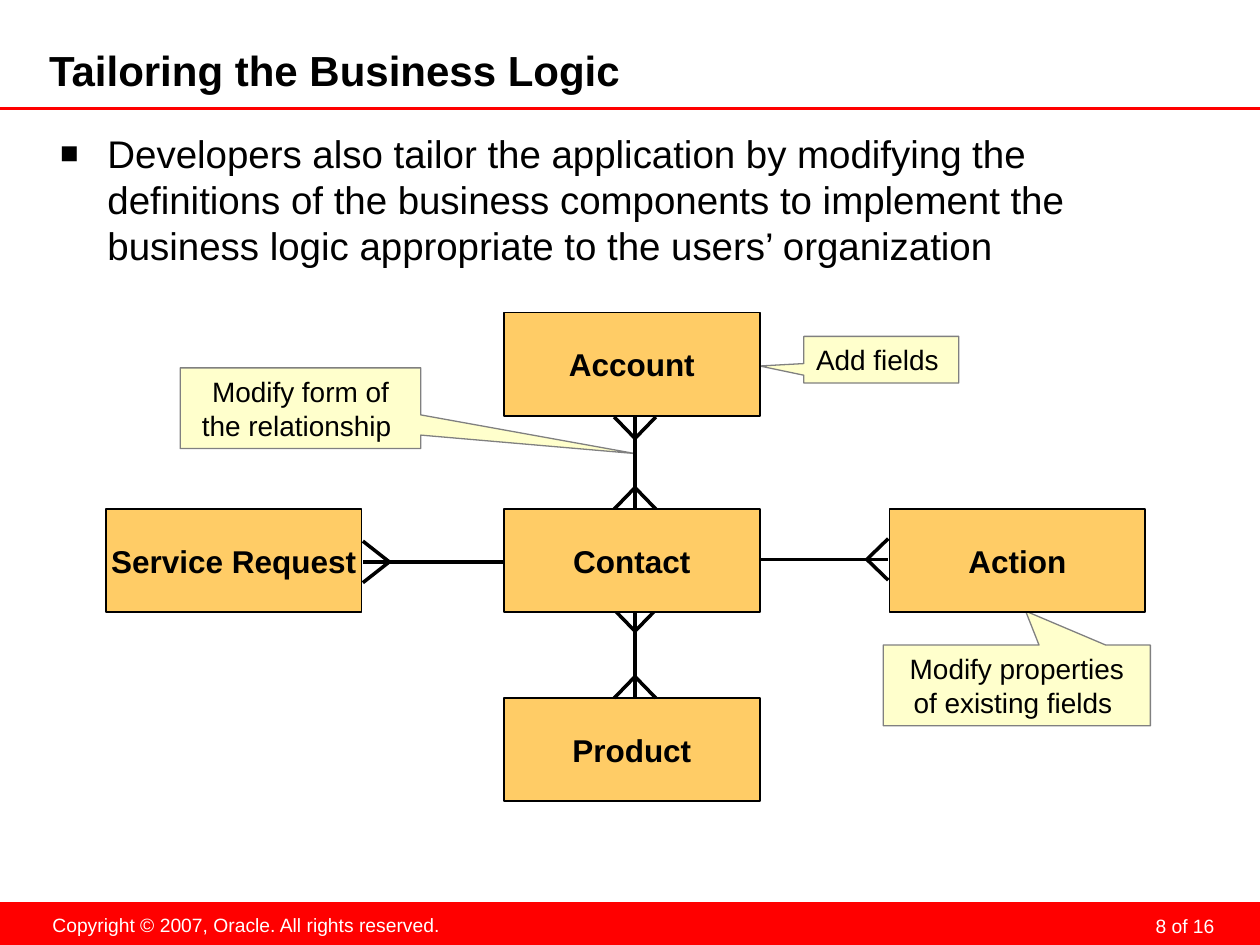
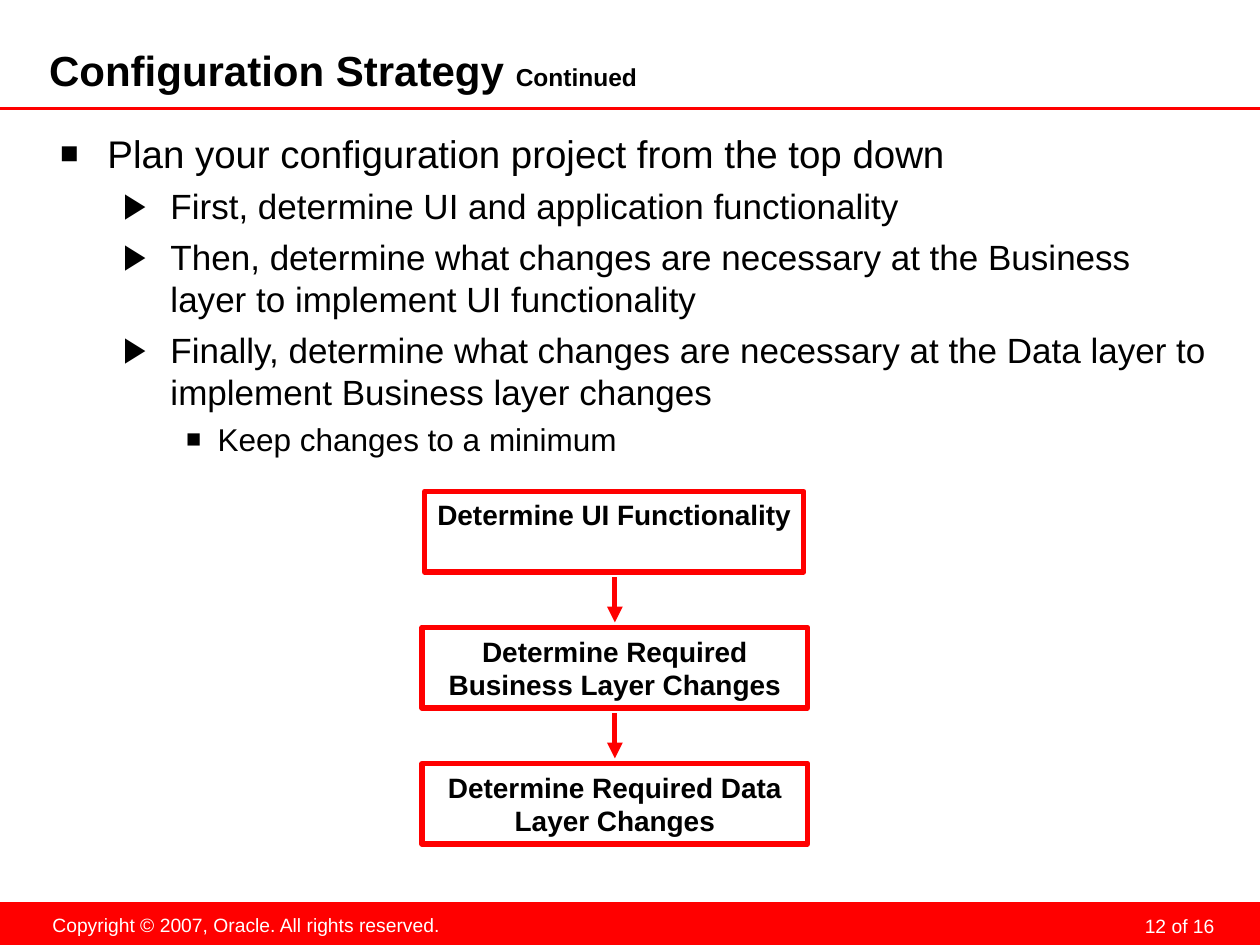
from dataclasses import dataclass
from typing import NamedTuple, Optional

from lxml.etree import SubElement
from pptx import Presentation
from pptx.dml.color import RGBColor
from pptx.enum.shapes import MSO_CONNECTOR as Connector, MSO_SHAPE as Preset
from pptx.enum.text import MSO_ANCHOR as Anchor, PP_ALIGN as Align
from pptx.oxml.ns import qn
from pptx.util import Inches, Pt

WIDTH, HEIGHT = Inches(10), Inches(7.5)
COLUMNS, ROWS = 100, 75
FONT = "Arial"
COLORS = {
    "brand": "FF0000",
    "text": "000000",
    "reverse": "FFFFFF",
    "entity": "FFCC66",
    "callout": "FFFFCC",
    "callout_edge": "808080",
}
COPYRIGHT = "Copyright © 2007, Oracle. All rights reserved."
PAGE_TOTAL = 16


class Point(NamedTuple):
    col: float
    row: float


class Area(NamedTuple):
    col: float
    row: float
    cols: float
    rows: float


class Run(NamedTuple):
    text: str
    size: float
    bold: bool = False
    color: str = "text"


class Outline(NamedTuple):
    color: str
    points: float


class Insets(NamedTuple):
    """Text margins in grid cells."""
    left: float = 1
    top: float = 0.5
    right: float = 1
    bottom: float = 0.5


class BulletLevel(NamedTuple):
    size: float
    indent: float
    hanging: float
    before: float
    mark: str
    mark_percent: int


@dataclass
class Entity:
    name: str
    col: float
    row: float


@dataclass
class Callout:
    text: str
    area: Area
    tip: Point
    wrap: bool = True


@dataclass
class Relationship:
    start: Point
    end: Point
    many_start: bool = False
    many_end: bool = True
    foot_depth: float = 1.7


@dataclass
class Step:
    text: str
    col: float
    cols: float
    wrap: bool = True
    anchor: Anchor = Anchor.MIDDLE


LEVELS = [
    BulletLevel(22, 3.75, 3.75, 5.5, "■", 80),
    BulletLevel(20, 8.75, 3.75, 5, "▶", 100),
    BulletLevel(18, 12.5, 2.5, 4.5, "■", 80),
]
FOOT_HALF_SPREAD = 1.65
ENTITY_COLS, ENTITY_ROWS = 20.3, 8.2
STEP_TOP, STEP_ROWS, STEP_PITCH, STEP_AXIS = 39, 6.4, 10.8, 48.8

CALLOUTS = [
    Callout("Modify form of the relationship ", Area(14.3, 29.2, 19.1, 6.4), Point(50.4, 36)),
    Callout("Add fields ", Area(63.8, 26.7, 12.3, 3.7), Point(60.3, 29.05), wrap=False),
    Callout("Modify properties of existing fields ", Area(70.1, 51.2, 21.2, 6.4),
            Point(81.4, 48.5)),
]
CONTACT = Entity("Contact", 40, 40.4)
RELATED_ENTITIES = [
    Entity("Account", 40, 24.8),
    Entity("Product", 40, 55.4),
    Entity("Service Request", 8.4, 40.4),
    Entity("Action", 70.6, 40.4),
]
RELATIONSHIPS = [
    Relationship(Point(50.4, 33.1), Point(50.4, 40.4), many_start=True),
    Relationship(Point(50.4, 48.4), Point(50.4, 55.4), many_start=True),
    Relationship(Point(40.1, 44.6), Point(28.8, 44.6), foot_depth=2.1),
    Relationship(Point(60.4, 44.4), Point(70.5, 44.4)),
]
STEPS = [
    Step("Determine UI Functionality", 33.7, 30.1, wrap=False, anchor=Anchor.TOP),
    Step("Determine Required Business Layer Changes", 33.5, 30.6),
    Step("Determine Required Data Layer Changes", 33.5, 30.6),
]


def x(cols: float) -> int:
    return round(WIDTH * cols / COLUMNS)


def y(rows: float) -> int:
    return round(HEIGHT * rows / ROWS)


def box(area: Area) -> tuple:
    return x(area.col), y(area.row), x(area.cols), y(area.rows)


def rgb(name: str) -> RGBColor:
    return RGBColor.from_string(COLORS[name])


def add_run(paragraph, run: Run) -> None:
    part = paragraph.add_run()
    part.text = run.text
    part.font.name, part.font.size = FONT, Pt(run.size)
    part.font.bold, part.font.color.rgb = run.bold, rgb(run.color)


def set_frame(frame, insets: Insets, anchor: Anchor, wrap: bool) -> None:
    frame.word_wrap, frame.vertical_anchor = wrap, anchor
    frame.margin_left, frame.margin_right = x(insets.left), x(insets.right)
    frame.margin_top, frame.margin_bottom = y(insets.top), y(insets.bottom)


def add_text(slide, area: Area, runs: list, insets: Insets = Insets(),
             align: Align = Align.LEFT, anchor: Anchor = Anchor.TOP, wrap: bool = True):
    frame = slide.shapes.add_textbox(*box(area)).text_frame
    set_frame(frame, insets, anchor, wrap)
    paragraph = frame.paragraphs[0]
    paragraph.alignment = align
    for run in runs:
        add_run(paragraph, run)
    return paragraph


def add_panel(slide, area: Area, fill: Optional[str] = None, outline: Optional[Outline] = None,
              label: Optional[Run] = None, preset: Preset = Preset.RECTANGLE,
              wrap: bool = True, anchor: Anchor = Anchor.MIDDLE):
    """Draw a preset shape with an optional centred label."""
    panel = slide.shapes.add_shape(preset, *box(area))
    panel.shadow.inherit = False
    if fill:
        panel.fill.solid()
        panel.fill.fore_color.rgb = rgb(fill)
    else:
        panel.fill.background()
    if outline:
        panel.line.color.rgb, panel.line.width = rgb(outline.color), Pt(outline.points)
    else:
        panel.line.fill.background()
    if label:
        set_frame(panel.text_frame, Insets(), anchor, wrap)
        paragraph = panel.text_frame.paragraphs[0]
        paragraph.alignment = Align.CENTER
        add_run(paragraph, label)
    return panel


def add_line(slide, start: Point, end: Point, outline: Outline, arrow: bool = False) -> None:
    line = slide.shapes.add_connector(Connector.STRAIGHT, x(start.col), y(start.row),
                                      x(end.col), y(end.row))
    line.line.color.rgb, line.line.width = rgb(outline.color), Pt(outline.points)
    if arrow:
        SubElement(line.line._get_or_add_ln(), qn("a:tailEnd"), type="triangle")
    SubElement(line._element.spPr, qn("a:effectLst"))


def add_bullets(slide, items: list) -> None:
    """Draw (level, text) pairs as the body text."""
    frame = slide.shapes.add_textbox(*box(Area(3.8, 9.3, 93, 61.8))).text_frame
    set_frame(frame, Insets(top=1), Anchor.TOP, True)
    for index, (depth, text) in enumerate(items):
        level = LEVELS[depth]
        paragraph = frame.add_paragraph() if index else frame.paragraphs[0]
        paragraph.level = depth
        props = paragraph._p.get_or_add_pPr()
        props.set("marL", str(x(level.indent)))
        props.set("indent", str(-x(level.hanging)))
        SubElement(SubElement(props, qn("a:buClr")), qn("a:srgbClr"), val=COLORS["text"])
        SubElement(props, qn("a:buSzPct"), val=str(level.mark_percent * 1000))
        SubElement(props, qn("a:buFont"), typeface=FONT)
        SubElement(props, qn("a:buChar"), char=level.mark)
        if index:
            paragraph.space_before = Pt(level.before)
        add_run(paragraph, Run(text, level.size))


def add_base_slide(deck, page: int, title: list):
    """Add a slide with the shared title, rule and footer band."""
    slide = deck.slides.add_slide(deck.slide_layouts[6])
    add_panel(slide, Area(0, 71.6, COLUMNS, 3.4), "brand")
    number = add_text(slide, Area(73.6, 71.9, 23.3, 2.5),
                      [Run(f"{page} of {PAGE_TOTAL}", 11, color="reverse")],
                      Insets(0.5, 0, 0.5, 0), Align.RIGHT)
    number.line_spacing = Pt(18)
    add_text(slide, Area(3.1, 72, 32.9, 2.9), [Run(COPYRIGHT, 11, color="reverse")],
             align=Align.CENTER, wrap=False)
    add_line(slide, Point(0, 8.6), Point(COLUMNS, 8.6), Outline("brand", 1.75))
    add_text(slide, Area(3.9, 3.8, 78.7, 4), title, Insets(0, 0, 0.5, 0.5),
             anchor=Anchor.MIDDLE)
    return slide


def add_entity(slide, entity: Entity) -> None:
    add_panel(slide, Area(entity.col, entity.row, ENTITY_COLS, ENTITY_ROWS), "entity",
              Outline("text", 1), Run(entity.name, 18, True), wrap=False)


def add_callout(slide, callout: Callout) -> None:
    area, tip = callout.area, callout.tip
    bubble = add_panel(slide, area, "callout", Outline("callout_edge", 0.75),
                       Run(callout.text, 16), Preset.RECTANGULAR_CALLOUT, callout.wrap)
    bubble.adjustments[0] = (tip.col - area.col) / area.cols - 0.5
    bubble.adjustments[1] = (tip.row - area.row) / area.rows - 0.5


def add_crow_foot(slide, edge: Point, toward: Point, depth: float) -> None:
    """Draw a "many" mark that opens onto edge, with its apex toward the other end."""
    length = abs(toward.col - edge.col) + abs(toward.row - edge.row)
    dx, dy = (toward.col - edge.col) / length, (toward.row - edge.row) / length
    spread = FOOT_HALF_SPREAD
    toes = [(x(edge.col + side * dy * spread), y(edge.row + side * dx * spread))
            for side in (-1, 1)]
    apex = x(edge.col + dx * depth), y(edge.row + dy * depth)
    builder = slide.shapes.build_freeform(*toes[0])
    builder.add_line_segments([apex, toes[1]], close=False)
    foot = builder.convert_to_shape()
    foot.shadow.inherit = False
    foot.fill.background()
    foot.line.color.rgb, foot.line.width = rgb("text"), Pt(2)


def add_relationship(slide, link: Relationship) -> None:
    add_line(slide, link.start, link.end, Outline("text", 2))
    if link.many_start:
        add_crow_foot(slide, link.start, link.end, link.foot_depth)
    if link.many_end:
        add_crow_foot(slide, link.end, link.start, link.foot_depth)


def build_business_logic(deck) -> None:
    slide = add_base_slide(deck, 8, [Run("Tailoring the Business Logic", 24, True)])
    add_bullets(slide, [(0, "Developers also tailor the application by modifying the definitions "
                            "of the business components to implement the business logic "
                            "appropriate to the users’ organization")])
    for callout in CALLOUTS:
        add_callout(slide, callout)
    for entity in RELATED_ENTITIES:
        add_entity(slide, entity)
    for link in RELATIONSHIPS:
        add_relationship(slide, link)
    add_entity(slide, CONTACT)


def build_strategy(deck) -> None:
    slide = add_base_slide(deck, 12, [Run("Configuration Strategy ", 24, True),
                                      Run("Continued", 14, True)])
    add_bullets(slide, [
        (0, "Plan your configuration project from the top down"),
        (1, "First, determine UI and application functionality"),
        (1, "Then, determine what changes are necessary at the Business layer "
            "to implement UI functionality"),
        (1, "Finally, determine what changes are necessary at the Data layer "
            "to implement Business layer changes"),
        (2, "Keep changes to a minimum"),
    ])
    border = Outline("brand", 3)
    for index, step in enumerate(STEPS):
        top = STEP_TOP + index * STEP_PITCH
        add_panel(slide, Area(step.col, top, step.cols, STEP_ROWS), outline=border,
                  label=Run(step.text, 16, True), wrap=step.wrap, anchor=step.anchor)
        if index:
            add_line(slide, Point(STEP_AXIS, top - 4), Point(STEP_AXIS, top - 0.4), border, True)


def main() -> None:
    deck = Presentation()
    deck.slide_width, deck.slide_height = WIDTH, HEIGHT
    build_business_logic(deck)
    build_strategy(deck)
    deck.save("out.pptx")


if __name__ == "__main__":
    main()
